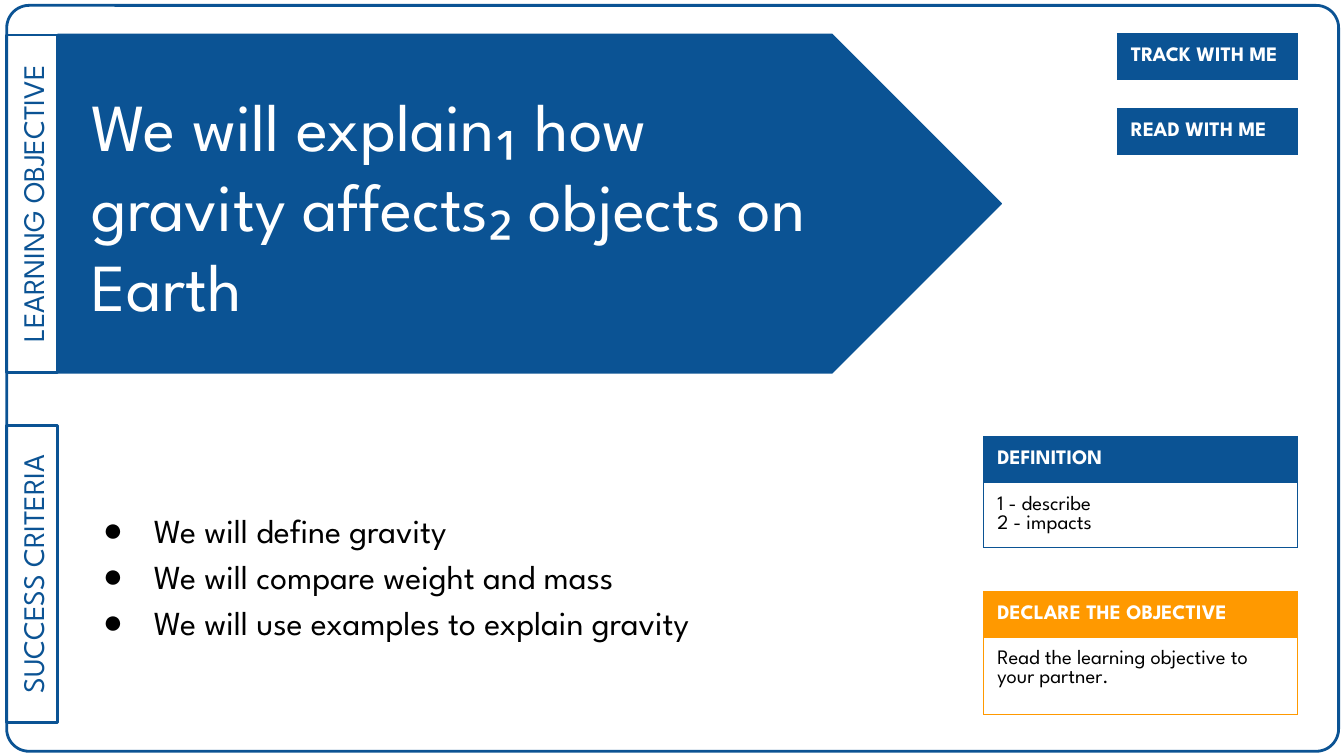
from lxml.etree import SubElement
from pptx import Presentation
from pptx.dml.color import RGBColor
from pptx.enum.shapes import MSO_SHAPE as Preset
from pptx.enum.text import MSO_ANCHOR as Anchor, MSO_AUTO_SIZE as AutoSize, PP_ALIGN as Align
from pptx.oxml.ns import qn
from pptx.util import Inches, Pt

COLORS = {"blue": "0B5394", "orange": "FF9900", "white": "FFFFFF", "black": "000000"}
FONT = "League Spartan"
MARGINS = ("margin_left", "margin_top", "margin_right", "margin_bottom")

deck = Presentation()
deck.slide_width = Inches(10)
deck.slide_height = deck.slide_width * 9 // 16
slide = deck.slides.add_slide(deck.slide_layouts[1])
COL = deck.slide_width / 100  # square grid, 100 columns across the slide


def grid(*cells):
    return [round(cell * COL) for cell in cells]


def write(frame, lines, size, color, bold=False, **paragraph_format):
    """Fill a text frame or table cell with one paragraph per line."""
    for side in MARGINS:
        setattr(frame, side, round(COL))
    text = getattr(frame, "text_frame", frame)
    text.word_wrap = True
    for number, line in enumerate(lines):
        paragraph = text.paragraphs[0] if number == 0 else text.add_paragraph()
        paragraph.add_run().text = line
        for name, value in paragraph_format.items():
            setattr(paragraph, name, value)
        font = paragraph.runs[0].font
        font.name, font.size, font.bold = FONT, Pt(size), bold
        font.color.rgb = RGBColor.from_string(COLORS[color])


# Frame, side labels and objective banner, from back to front
panels = [
    (Preset.ROUNDED_RECTANGLE, (0.5, 0.4, 99.1, 55.5), 1.5, None),
    (Preset.RECTANGLE, (-10.15, 13.25, 25.1, 3.8), 1.5, "LEARNING OBJECTIVE"),
    (Preset.PENTAGON, (4.3, 2.55, 70.2, 25.2), 0.75, None),
    (Preset.RECTANGLE, (-8.65, 40.8, 22.1, 3.8), 1.5, "SUCCESS CRITERIA"),
]
for preset, place, line_width, label in panels:
    panel = slide.shapes.add_shape(preset, *grid(*place))
    panel.shadow.inherit = False
    panel.line.color.rgb = RGBColor.from_string(COLORS["blue"])
    panel.line.width = Pt(line_width)
    if preset == Preset.PENTAGON:
        panel.fill.solid()
        panel.fill.fore_color.rgb = RGBColor.from_string(COLORS["blue"])
    else:
        panel.fill.background()
    if preset == Preset.ROUNDED_RECTANGLE:
        panel.adjustments[0] = 0.03
    if label:
        panel.rotation = 270
        panel.text_frame.vertical_anchor = Anchor.MIDDLE
        write(panel.text_frame, [label], 16, "blue", alignment=Align.CENTER)

# Success criteria and learning objective, brought in front of the banner
criteria, objective = slide.placeholders[1], slide.shapes.title
for holder, place in ((criteria, (5.45, 31.65, 56.8, 22)), (objective, (5.8, 5.2, 55.4, 20.1))):
    holder.left, holder.top, holder.width, holder.height = grid(*place)
    holder.text_frame.vertical_anchor = Anchor.MIDDLE
    holder.text_frame.auto_size = AutoSize.NONE
    slide.shapes._spTree.append(holder._element)

write(criteria.text_frame,
      ["We will define gravity", "We will compare weight and mass",
       "We will use examples to explain gravity"],
      18, "black", line_spacing=Pt(24.6), space_before=Pt(0))
for criterion in criteria.text_frame.paragraphs:
    properties = criterion._p.get_or_add_pPr()
    properties.set("marL", str(Inches(0.5)))
    properties.set("indent", str(Inches(-0.38)))
    bullet_color = SubElement(properties, qn("a:buClr"))
    SubElement(bullet_color, qn("a:srgbClr"), val=COLORS["black"])
    SubElement(properties, qn("a:buFont"), typeface="Arial")
    SubElement(properties, qn("a:buChar"), char="●")

write(objective.text_frame, ["We will explain₁ how gravity affects₂ objects on Earth"],
      36, "white", alignment=Align.LEFT, line_spacing=Pt(43))

# Prompt cards: heading row in colour, optional body row below
HEADING_ROW = 3.4
cards = [
    ((73.2, 44), 23.35, "orange", "DECLARE THE OBJECTIVE",
     ["Read the learning objective to your partner."], 5.75),
    ((73.2, 32.5), 23.35, "blue", "DEFINITION", ["1 - describe", "2 - impacts"], 4.75),
    ((83.15, 2.5), 13.4, "blue", "TRACK WITH ME", [], 0),
    ((83.15, 8.1), 13.4, "blue", "READ WITH ME", [], 0),
]
for corner, width, color, heading, body, body_row in cards:
    heights = [HEADING_ROW, body_row] if body else [HEADING_ROW]
    table = slide.shapes.add_table(
        len(heights), 1, *grid(*corner, width, sum(heights))).table
    table.first_row = table.horz_banding = False
    for row, height in zip(table.rows, heights):
        row.height = round(height * COL)
    write(table.cell(0, 0), [heading], 11, "white", bold=True)
    if body:
        write(table.cell(1, 0), body, 11, "black")
    for number, cell in enumerate(table.iter_cells()):
        cell_properties = cell._tc.get_or_add_tcPr()
        for edge in ("a:lnL", "a:lnR", "a:lnT", "a:lnB"):
            border = SubElement(cell_properties, qn(edge), w=str(Pt(0.75)))
            border_fill = SubElement(border, qn("a:solidFill"))
            SubElement(border_fill, qn("a:srgbClr"), val=COLORS[color])
        if number == 0:
            cell.fill.solid()
            cell.fill.fore_color.rgb = RGBColor.from_string(COLORS[color])
        else:
            cell.fill.background()

deck.save("out.pptx")
